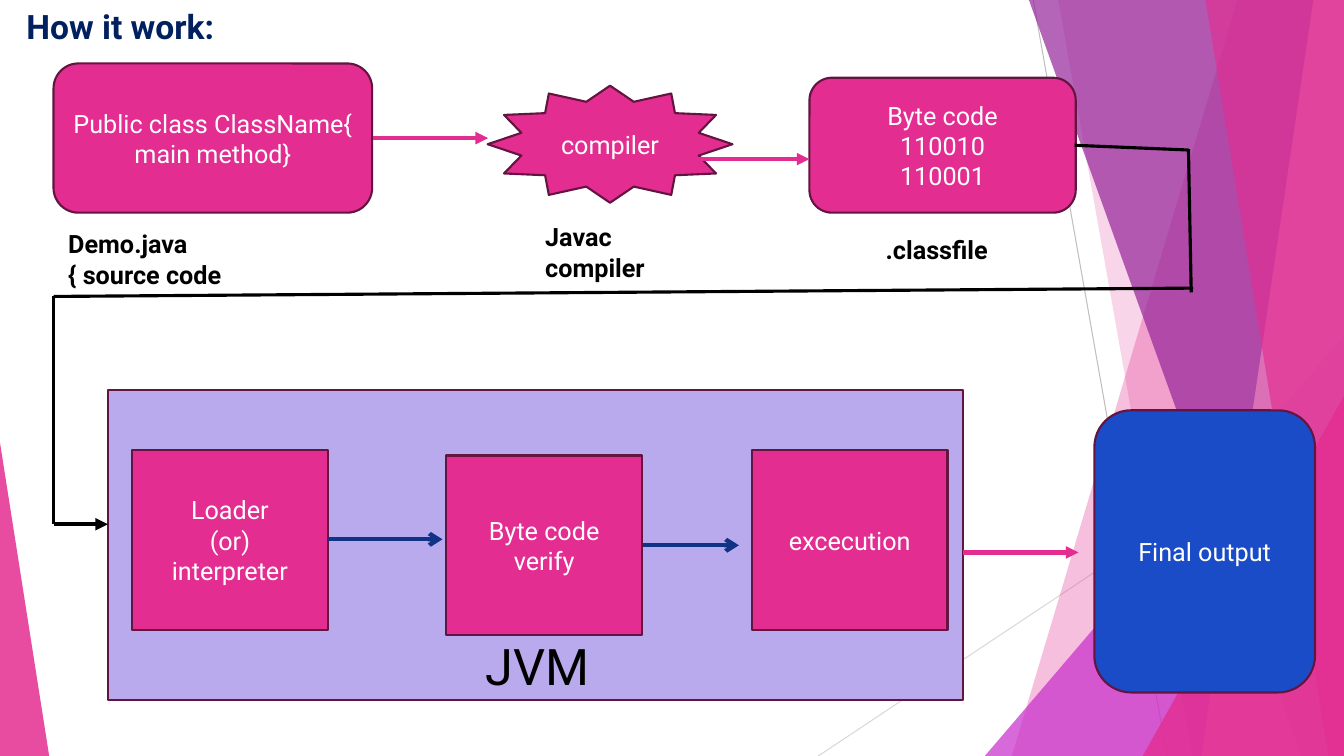
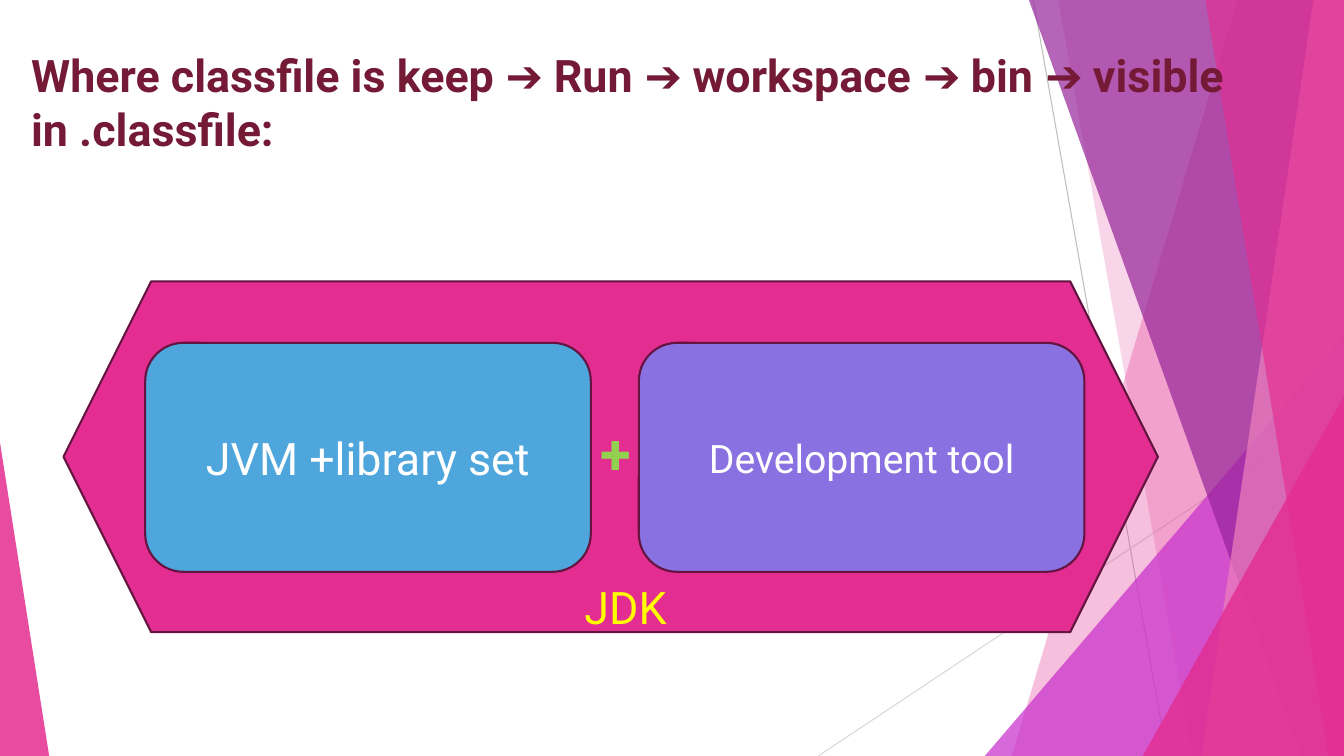
import pptx
import pptx.dml.color
import pptx.enum.shapes
import pptx.enum.text
import pptx.oxml
import pptx.oxml.ns
import pptx.util
from pptx.util import Cm, Pt

SHAPE = pptx.enum.shapes.MSO_SHAPE
ALIGN = pptx.enum.text.PP_ALIGN
ANCHOR = pptx.enum.text.MSO_ANCHOR

FONT = "Roboto"
PINK, PLUM, BLACK, WHITE, NAVY = "E32D91", "631440", "000000", "FFFFFF", "113386"
WIDTH, HEIGHT = 33.87, 19.05

# Backdrop, in centimetres: start, end, colour
HAIRLINES = [
    ((26.04, 0), (29.41, HEIGHT), "BFBFBF"),
    ((WIDTH, 10.24), (20.62, HEIGHT), "D9D9D9"),
]
# Top x, top y, bottom x, slide edge, colour, opacity in percent
WEDGES = [
    (31.19, 0, 25.5, WIDTH, PINK, 30),
    (26.67, 0, 30.05, WIDTH, PINK, 20),
    (WIDTH, 8.46, 24.82, WIDTH, "C830CC", 72),
    (25.93, 0, 32.79, WIDTH, "962499", 70),
    (33.1, 0, 30.28, WIDTH, "EE81BD", 70),
    (30.38, 0, 33.48, WIDTH, PINK, 65),
    (WIDTH, 9.98, 28.8, WIDTH, PINK, 80),
    (0, 11.15, 1.24, 0, PINK, 85),
]

STAGE = (4.93, 4.52)
ARROW = 2.9
# Title: text, (left, top, width, height), size, colour
# Box: preset, (left, top, width, height), fill, text, text size
# Line: start, end, colour, width, arrowhead
# Label: text, (left, top, width, height), size, colour, bold
PAGES = [
    {
        "title": ("How it work:", (0.41, 0.03, 15.29, 1.27), 24, "002060"),
        "boxes": [
            (SHAPE.ROUNDED_RECTANGLE, (1.35, 1.6, 8.03, 3.76), PINK,
             "Public class ClassName{\nmain method}", 18),
            (SHAPE.STAR_12_POINT, (12.29, 2.16, 6.17, 2.95), PINK, "compiler", 18),
            (SHAPE.ROUNDED_RECTANGLE, (20.4, 1.96, 6.71, 3.4), PINK,
             "Byte code\n110010\n110001", 18),
            (SHAPE.RECTANGLE, (2.72, 9.83, 21.56, 7.82), "B8AAED", "", 18),
            (SHAPE.RECTANGLE, (3.33, 11.35, *STAGE), PINK,
             "Loader\n(or)\ninterpreter", 18),
            (SHAPE.RECTANGLE, (11.25, 11.48, *STAGE), PINK, "Byte code verify", 18),
            (SHAPE.RECTANGLE, (18.95, 11.35, *STAGE), PINK, "excecution", 18),
            (SHAPE.ROUNDED_RECTANGLE, (27.58, 10.34, 5.56, 7.11), "1A4CC8",
             "Final output", 18),
        ],
        "lines": [
            *[((x, y), (x + ARROW, y), PINK, 3, "triangle")
              for x, y in [(9.4, 3.48), (17.5, 4.01), (24.28, 13.92)]],
            ((8.26, 13.59), (11.15, 13.59), NAVY, 3, "arrow"),
            ((16.2, 13.74), (18.62, 13.74), NAVY, 3, "arrow"),
            ((27.08, 3.66), (29.95, 3.78), BLACK, 2.25, None),
            ((29.95, 3.76), (30.02, 7.37), BLACK, 2.25, None),
            ((30.07, 7.26), (1.35, 7.47), BLACK, 2.25, None),
            ((1.35, 7.47), (1.35, 13.21), BLACK, 2.25, None),
            ((1.35, 13.21), (2.72, 13.21), BLACK, 3, "triangle"),
        ],
        "labels": [
            ("JVM", (11.99, 15.88, 5.84, 1.8), 36, BLACK, False),
            ("Demo.java\n{ source code", (1.47, 5.64, 7.8, 1.8), 18, BLACK, True),
            ("Javac compiler", (13.49, 5.46, 4.34, 1.8), 18, BLACK, True),
            (".classfile", (22.07, 5.79, 7.19, 1.02), 18, BLACK, True),
        ],
    },
    {
        "title": ("Where classfile is keep ➔ Run ➔ workspace ➔ bin ➔ visible in .classfile:",
                  (0.53, 1.07, 32.54, 3), 32, "741A36"),
        "boxes": [
            (SHAPE.HEXAGON, (1.6, 7.09, 27.58, 8.84), PINK, "", 18),
            (SHAPE.ROUNDED_RECTANGLE, (3.66, 8.64, 11.23, 5.77), "4EA6DC",
             "JVM +library set", 32),
            (SHAPE.ROUNDED_RECTANGLE, (16.1, 8.64, 11.23, 5.77), "8971E1",
             "Development tool", 28),
        ],
        "lines": [],
        "labels": [
            ("+", (14.88, 10.41, 1.22, 1.96), 40, "92D050", True),
            ("JDK", (14.48, 14.48, 7.75, 1.63), 32, "FFFF00", False),
        ],
    },
]


def rgb(colour):
    return pptx.dml.color.RGBColor.from_string(colour)


def cm(values):
    return [Cm(value) for value in values]


def add_xml(parent, tag, **attributes):
    child = parent.makeelement(pptx.oxml.ns.qn(tag), attributes)
    parent.append(child)
    return child


def write(shape, text, size, colour, bold=False, align=ALIGN.LEFT, anchor=ANCHOR.TOP):
    frame = shape.text_frame
    frame.text = text
    frame.word_wrap = True
    frame.auto_size = pptx.enum.text.MSO_AUTO_SIZE.NONE
    frame.vertical_anchor = anchor
    for para in frame.paragraphs:
        para.alignment = align
        for span in para.runs:
            span.font.name = FONT
            span.font.size = Pt(size)
            span.font.bold = bold
            span.font.color.rgb = rgb(colour)


def add_line(page, start, end, colour, width, head=None):
    line = page.shapes.add_connector(
        pptx.enum.shapes.MSO_CONNECTOR.STRAIGHT, *cm(start), *cm(end))
    line.line.color.rgb = rgb(colour)
    line.line.width = Pt(width)
    if head:
        add_xml(line.line._get_or_add_ln(), "a:tailEnd", type=head)
    add_xml(line.element.spPr, "a:effectLst")
    return line


def add_wedge(page, top_x, top_y, bottom_x, edge, colour, opacity):
    """Draw a see-through wedge that fills the space up to a slide edge."""
    if top_x == edge:
        wedge = page.shapes.add_shape(
            SHAPE.ISOSCELES_TRIANGLE,
            *cm((min(edge, bottom_x), top_y, abs(edge - bottom_x), HEIGHT - top_y)))
        wedge.adjustments[0] = 1 if edge else 0
    else:
        outline = page.shapes.build_freeform(Cm(top_x), Cm(top_y))
        corners = [(edge, top_y), (edge, HEIGHT), (bottom_x, HEIGHT)]
        outline.add_line_segments([cm(corner) for corner in corners], close=True)
        wedge = outline.convert_to_shape()
    wedge.shadow.inherit = False
    wedge.line.fill.background()
    wedge.fill.solid()
    wedge.fill.fore_color.rgb = rgb(colour)
    tint = wedge.element.spPr.find(".//" + pptx.oxml.ns.qn("a:srgbClr"))
    add_xml(tint, "a:alpha", val=str(opacity * 1000))
    return wedge


def add_backdrop(layout, page):
    """Draw the backdrop on a page, then move it to the shared layout."""
    parts = [add_line(page, *hairline, 0.75) for hairline in HAIRLINES]
    parts += [add_wedge(page, *wedge) for wedge in WEDGES]
    for number, part in enumerate(parts, 100):
        part.element.xpath(".//p:cNvPr")[0].set("id", str(number))
        layout.shapes.element.append(part.element)


def add_box(page, preset, place, fill, text, size):
    box = page.shapes.add_shape(preset, *cm(place))
    box.shadow.inherit = False
    box.fill.solid()
    box.fill.fore_color.rgb = rgb(fill)
    box.line.color.rgb = rgb(PLUM)
    box.line.width = Pt(1.5)
    if text:
        write(box, text, size, WHITE, align=ALIGN.CENTER, anchor=ANCHOR.MIDDLE)


def fill_page(page, content):
    text, place, size, colour = content["title"]
    title = page.shapes.title
    title.left, title.top, title.width, title.height = cm(place)
    write(title, text, size, colour, bold=True)
    for box in content["boxes"]:
        add_box(page, *box)
    for line in content["lines"]:
        add_line(page, *line)
    for text, place, *style in content["labels"]:
        write(page.shapes.add_textbox(*cm(place)), text, *style)


def main():
    deck = pptx.Presentation()
    deck.slide_width, deck.slide_height = cm((WIDTH, HEIGHT))
    layout = deck.slide_layouts.get_by_name("Title Only")
    pages = [deck.slides.add_slide(layout) for _ in PAGES]
    add_backdrop(layout, pages[0])
    for page, content in zip(pages, PAGES):
        fill_page(page, content)
    deck.save("out.pptx")


if __name__ == "__main__":
    main()
